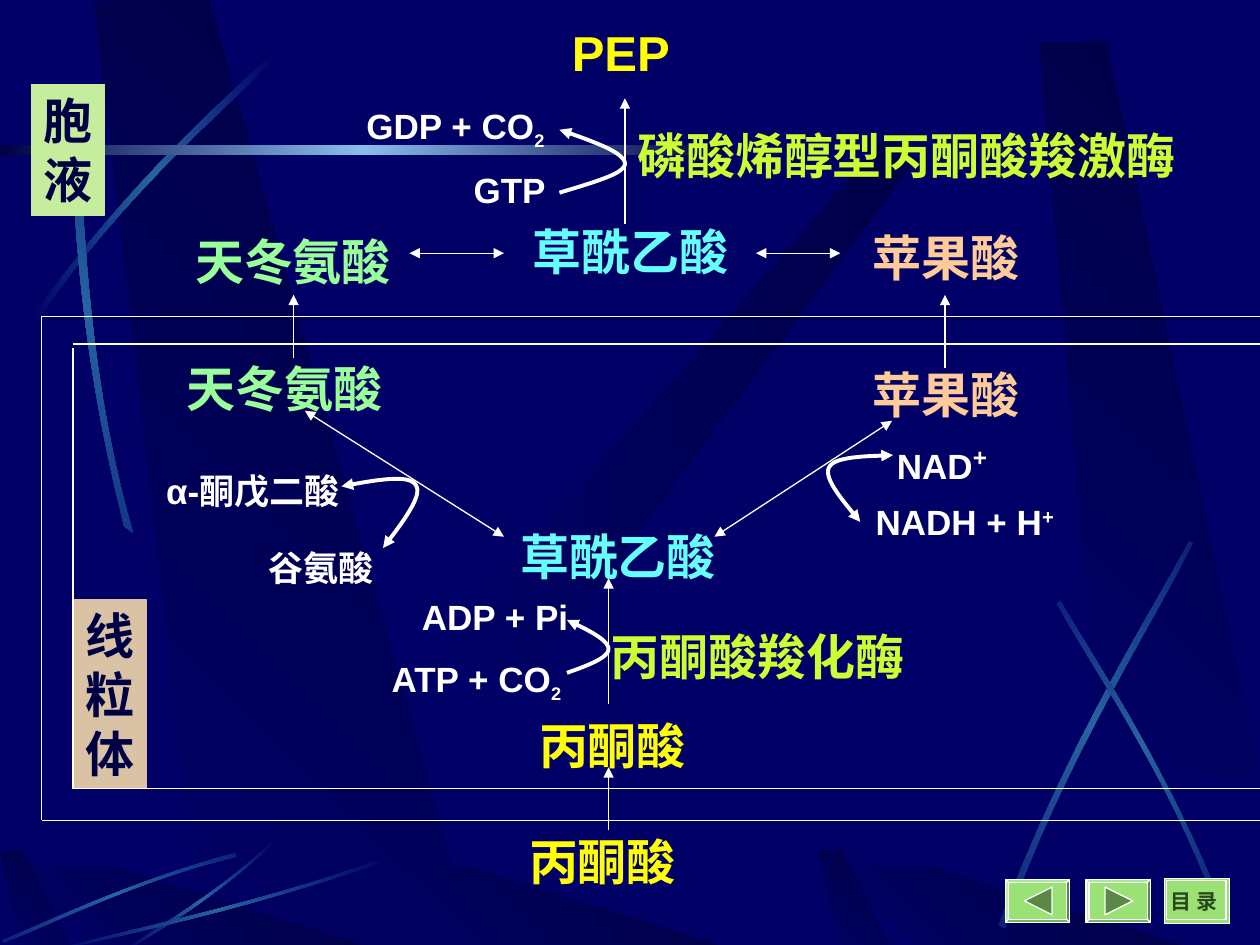
from dataclasses import dataclass
from math import cos, radians, sin
from lxml.etree import SubElement
from pptx import Presentation
from pptx.dml.color import RGBColor
from pptx.enum.shapes import MSO_CONNECTOR, MSO_SHAPE
from pptx.enum.text import MSO_ANCHOR, MSO_AUTO_SIZE, PP_ALIGN
from pptx.oxml.ns import qn
from pptx.util import Cm, Pt


@dataclass(frozen=True)
class Theme:
    navy: str = "000066"
    deep: str = "000044"
    streak: str = "2663A0"
    beam: str = "8ABDEC"
    white: str = "FFFFFF"
    yellow: str = "FFFF00"
    cyan: str = "66FFFF"
    lime: str = "CCFF33"
    mint: str = "99FF99"
    peach: str = "FFCC99"
    tan: str = "DAC2A4"
    pale: str = "C5ED9D"
    button: str = "9AE276"
    button_mark: str = "5C8847"
    button_text: str = "2C471D"
    name_size: int = 28
    cofactor_size: int = 20
    subscript_size: int = 18
    charge_size: int = 24
    button_size: int = 12
    font: str = "Arial"
    button_font: str = "Times New Roman"


def draw_path(points, centre=(0, 0), turn=0, closed=True):
    start, *segments = points
    track = [start]
    for seg in segments:
        if len(seg) == 2:
            track.append(seg)
            continue
        x0, y0 = track[-1]
        x1, y1, x2, y2, x3, y3 = seg
        for t in [i / 16 for i in range(1, 17)]:
            a, b, c, d = (1 - t) ** 3, 3 * t * (1 - t) ** 2, 3 * t * t * (1 - t), t ** 3
            track.append((a * x0 + b * x1 + c * x2 + d * x3, a * y0 + b * y1 + c * y2 + d * y3))
    cx, cy = centre
    co, si = cos(radians(turn)), sin(radians(turn))
    track = [(Cm(2.54 * (cx + (x - cx) * co + (y - cy) * si)),
              Cm(2.54 * (cy - (x - cx) * si + (y - cy) * co))) for x, y in track]
    builder = slide.shapes.build_freeform(*track[0])
    builder.add_line_segments(track[1:], close=closed)
    s = builder.convert_to_shape()
    s.rotation = turn
    s.shadow.inherit = False
    s.line.fill.background()
    return s


def write(s, runs, color, font, wrap):
    tf = s.text_frame
    tf.word_wrap = wrap
    tf.auto_size = MSO_AUTO_SIZE.SHAPE_TO_FIT_TEXT
    tf.vertical_anchor = MSO_ANCHOR.TOP
    p = tf.paragraphs[0]
    p.alignment = PP_ALIGN.LEFT
    for text, size, baseline in runs:
        r = p.add_run()
        r.text = text
        r.font.size, r.font.bold, r.font.name = Pt(size), True, font
        r.font.color.rgb = RGBColor.from_string(color)
        if baseline:
            r.font._element.set("baseline", str(baseline * 1000))


T = Theme()
prs = Presentation()
prs.slide_width, prs.slide_height = Cm(25.4), Cm(19.05)
slide = prs.slides.add_slide(prs.slide_layouts[6])
slide.background.fill.solid()
slide.background.fill.fore_color.rgb = RGBColor.from_string(T.navy)

slab_stops = [(0, T.navy), (100, T.deep)]
streak_stops = [(0, T.navy), (50, T.streak), (100, T.navy)]
beam_stops = [(0, T.deep), (50, T.beam), (100, T.deep)]
slabs = [
    ([(3.61, 5.01), (4.11, 5.52), (7.27, 1.27), (7.05, 1.07)], (5.58, 3.3), 44.2),
    ([(1.61, 7.5), (3.77, 7.52), (1.66, 0), (0.75, 0.01)], (0, 0), 0),
    ([(8.75, 6.18), (10, 6.18), (8.78, 0.33), (8.25, 0.34)], (0, 0), 0),
]
slabs += [([(x + 0.86, 7.55), (x + 3.02, 7.55), (x + 0.91, 6.88), (x, 6.88)], (0, 0), 0) for x in (0, 2.83, 6.5)]
slabs += [([(x + 0.17, 7.55), (x + 0.58, 7.55), (x + 0.18, 6.75), (x, 6.75)], (0, 0), 0) for x in (0, 6.5)]
streaks = [
    ([(0.25, 2.52), (1.08, 1.36, 1.84, 0.75, 2.16, 0.42), (2.17, 0.47),
      (1.85, 0.83, 0.99, 1.5, 0.26, 2.6)], (0, 0), 0),
    ([(0.98, 4.18), (0.57, 2.56, 0.59, 1.45, 0.54, 0.92), (0.59, 0.95),
      (0.68, 1.5, 0.63, 2.76, 1.05, 4.23)], (0.8, 2.58), 311.7),
    ([(7.93, 7.34), (8.48, 5.88, 9.18, 4.8, 9.44, 4.3), (9.47, 4.31),
      (9.23, 4.83, 8.43, 6.05, 7.98, 7.37)], (8.71, 5.83), 321.6),
    ([(9.68, 7.13), (9.21, 5.99, 8.64, 5.16, 8.42, 4.77), (8.39, 4.79),
      (8.6, 5.19, 9.26, 6.12, 9.64, 7.16)], (9.03, 5.97), 34.8),
    ([(1.86, 6.77), (0.99, 7.01, 0.33, 7.34, 0.02, 7.46), (0.03, 7.48),
      (0.34, 7.37, 1.09, 6.98, 1.88, 6.8)], (0.95, 7.13), 314.9),
    ([(2.19, 6.68), (1.67, 7.16, 1.2, 7.42, 1, 7.55), (1, 7.53),
      (1.2, 7.38, 1.73, 7.1, 2.19, 6.65)], (0, 0), 0),
    ([(3.08, 6.83), (1.93, 7.23, 0.88, 7.44, 0.43, 7.55), (0.42, 7.54),
      (0.86, 7.41, 2.06, 7.18, 3.07, 6.8)], (0, 0), 0),
]
backdrop = [(draw_path(*slab), slab_stops, 315) for slab in slabs]
backdrop += [(draw_path(*streak), streak_stops, 0) for streak in streaks]
beam = slide.shapes.add_shape(MSO_SHAPE.RECTANGLE, 0, Cm(2.92), Cm(14.6), Cm(0.2))
beam.shadow.inherit = False
beam.line.fill.background()
backdrop.append((beam, beam_stops, 0))
for s, stops, angle in backdrop:
    s.fill.gradient()
    grad = s._element.spPr.find(qn("a:gradFill"))
    stop_list = grad.find(qn("a:gsLst"))
    stop_list.clear()
    for position, color in stops:
        stop = SubElement(stop_list, qn("a:gs"), pos=str(position * 1000))
        SubElement(stop, qn("a:srgbClr"), val=color)
    grad.find(qn("a:lin")).set("ang", str(angle * 60000))

cards = [
    (MSO_SHAPE.BEVEL, (7.98, 6.98, 0.51, 0.34), T.button, T.white, ""),
    (MSO_SHAPE.BEVEL, (8.62, 6.98, 0.51, 0.34), T.button, T.white, ""),
    (MSO_SHAPE.RECTANGLE, (9.24, 6.97, 0.52, 0.36), T.button, T.white, ""),
    (MSO_SHAPE.RECTANGLE, (9.26, 6.99, 0.47, 0.31), T.button, T.white, ""),
    (MSO_SHAPE.RECTANGLE, (0.58, 4.76, 0.58, 1.5), T.tan, T.tan, "线粒体"),
    (MSO_SHAPE.RECTANGLE, (0.25, 0.67, 0.58, 1.04), T.pale, T.pale, "胞液"),
]
for preset, box, fill, edge, label in cards:
    s = slide.shapes.add_shape(preset, *[Cm(2.54 * v) for v in box])
    s.shadow.inherit = False
    s.fill.solid()
    s.fill.fore_color.rgb = RGBColor.from_string(fill)
    s.line.color.rgb = RGBColor.from_string(edge)
    s.line.width = Pt(0.75)
    if preset == MSO_SHAPE.BEVEL:
        s.adjustments[0] = 0.07
    if label:
        write(s, [(label, T.name_size, 0)], T.deep, T.font, True)

for tip, base in [(8.13, 8.35), (8.99, 8.77)]:
    s = draw_path([(tip, 7.15), (base, 7.04), (base, 7.26)])
    s.fill.solid()
    s.fill.fore_color.rgb = RGBColor.from_string(T.button_mark)
    s.line.color.rgb = RGBColor.from_string(T.white)
    s.line.width = Pt(0.75)

none, end, both = (), ("a:tailEnd",), ("a:headEnd", "a:tailEnd")
lines = [((x, y, 10, y), none) for x, y in [(0.58, 6.26), (0.33, 6.51), (0.33, 2.51), (0.58, 2.73)]]
lines += [
    ((0.58, 2.76, 0.58, 6.26), none),
    ((0.33, 2.51, 0.33, 6.51), none),
    ((4.83, 6.59, 4.83, 6.09), end),
    ((4.83, 5.59, 4.83, 4.59), end),
    ((2.33, 2.84, 2.33, 2.34), end),
    ((7.5, 2.92, 7.5, 2.34), end),
    ((4.96, 1.78, 4.96, 0.78), end),
    ((5.67, 4.26, 7.08, 3.34), both),
    ((4, 4.26, 2.42, 3.26), both),
    ((3.25, 2.01, 4, 2.01), both),
    ((6.67, 2.01, 6, 2.01), both),
]
arcs = [
    ([(4.5, 4.92), (4.67, 5, 4.83, 5.08, 4.83, 5.15), (4.83, 5.22, 4.67, 5.28, 4.5, 5.34)],
     (0, 0), 0, ("a:headEnd",)),
    ([(4.44, 1.03), (4.7, 1.12, 4.96, 1.21, 4.96, 1.3), (4.96, 1.38, 4.7, 1.45, 4.44, 1.53)],
     (0, 0), 0, ("a:headEnd",)),
    ([(7.09, 3.61), (6.86, 3.62, 6.62, 3.62, 6.58, 3.71), (6.54, 3.8, 6.69, 3.97, 6.83, 4.14)],
     (6.78, 3.79), 25.9, both),
    ([(2.71, 3.86), (2.98, 3.81, 3.25, 3.76, 3.3, 3.85), (3.36, 3.93, 3.2, 4.14, 3.04, 4.35)],
     (3.08, 3.97), 326.6, both),
]
strokes = []
for ends, arrows in lines:
    s = slide.shapes.add_connector(MSO_CONNECTOR.STRAIGHT, *[Cm(2.54 * v) for v in ends])
    strokes.append((s, 0.75, arrows))
for points, centre, turn, arrows in arcs:
    s = draw_path(points, centre, turn, closed=False)
    s.fill.background()
    strokes.append((s, 2.25, arrows))
for s, width, arrows in strokes:
    s.line.color.rgb = RGBColor.from_string(T.white)
    s.line.width = Pt(width)
    props = s._element.spPr
    for arrow in arrows:
        SubElement(props.find(qn("a:ln")), qn(arrow), type="triangle")
    if props.find(qn("a:effectLst")) is None:
        SubElement(props, qn("a:effectLst"))

names = [
    ("PEP", (4.44, 0.13, 1.19, 0.57), T.yellow, False),
    ("磷酸烯醇型丙酮酸羧激酶", (4.96, 0.95, 4.67, 0.57), T.lime, True),
    ("草酰乙酸", (4.13, 1.71, 2.1, 0.57), T.cyan, False),
    ("天冬氨酸", (1.45, 1.79, 2.02, 0.57), T.mint, False),
    ("苹果酸", (6.83, 1.76, 1.42, 0.57), T.peach, True),
    ("天冬氨酸", (1.38, 2.8, 2.1, 0.57), T.mint, False),
    ("苹果酸", (6.83, 2.84, 1.92, 0.57), T.peach, True),
    ("草酰乙酸", (4.03, 4.13, 2.02, 0.57), T.cyan, False),
    ("丙酮酸羧化酶", (4.75, 4.92, 2.58, 0.57), T.lime, True),
    ("丙酮酸", (4.18, 5.63, 1.45, 0.57), T.yellow, False),
    ("丙酮酸", (4.1, 6.55, 1.45, 0.57), T.yellow, False),
]
cofactors = [
    ("GDP + CO", [("2", T.subscript_size, -25)], (2.81, 0.78, 1.78, 0.47)),
    ("GTP", [], (3.66, 1.29, 0.92, 0.44)),
    ("NAD", [("+", T.charge_size, 30)], (7.02, 3.42, 1.07, 0.5)),
    ("NADH + H", [("+", T.cofactor_size, 30)], (6.85, 3.92, 1.75, 0.44)),
    ("α-酮戊二酸", [], (1.22, 3.68, 1.64, 0.44)),
    ("谷氨酸", [], (2.03, 4.29, 1.35, 0.44)),
    ("ADP + Pi", [], (3.25, 4.68, 1.6, 0.44)),
    ("ATP + CO", [("2", T.subscript_size, -25)], (3.01, 5.17, 1.57, 0.47)),
]
labels = [([(name, T.name_size, 0)], box, color, T.font, wrap) for name, box, color, wrap in names]
labels += [([(name, T.cofactor_size, 0)] + script, box, T.white, T.font, False)
           for name, script, box in cofactors]
labels.append(([("目 录", T.button_size, 0)], (9.19, 7, 0.57, 0.3), T.button_text, T.button_font, False))
for runs, box, color, font, wrap in labels:
    s = slide.shapes.add_textbox(*[Cm(2.54 * v) for v in box])
    write(s, runs, color, font, wrap)

prs.save("out.pptx")
